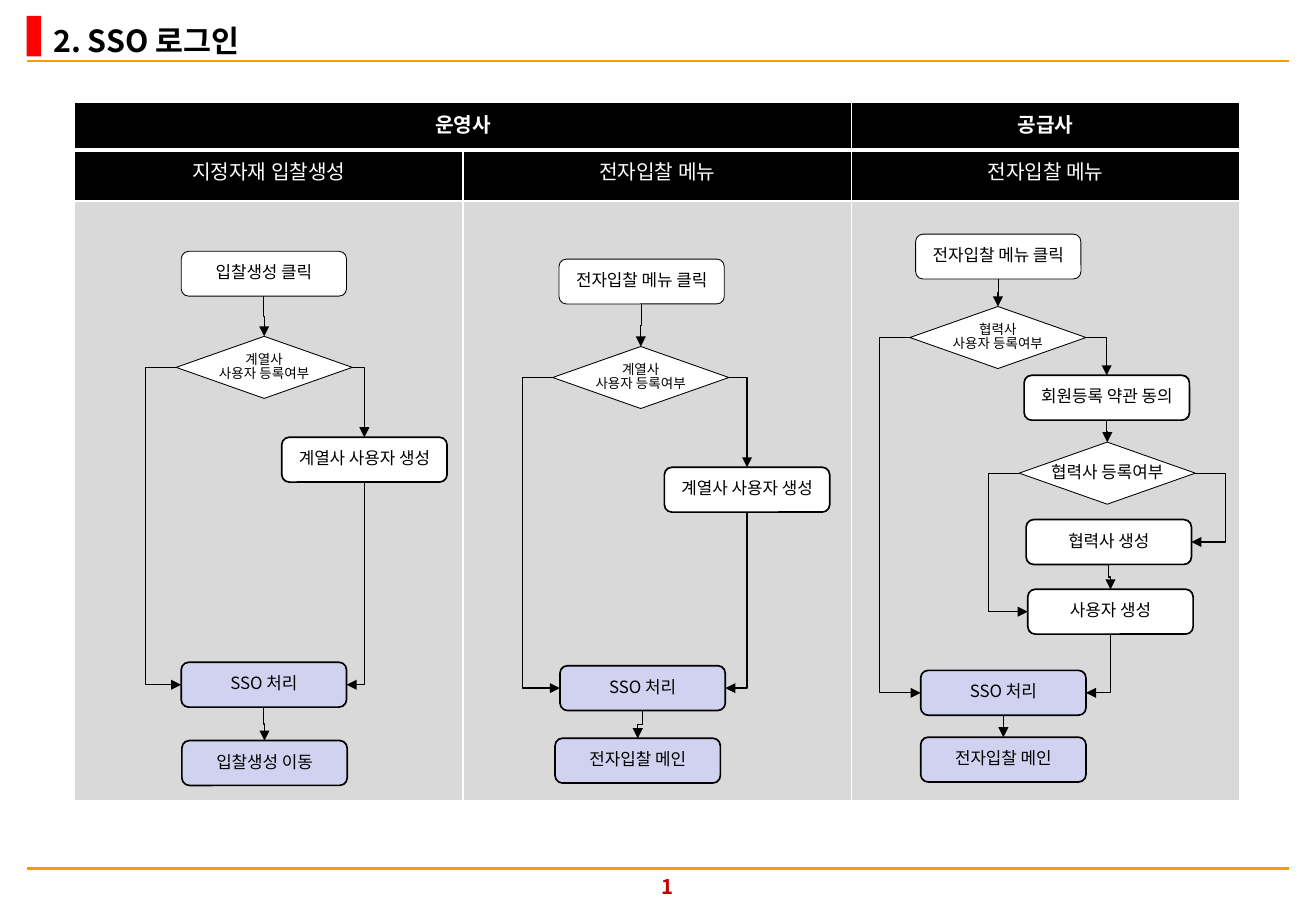
from dataclasses import dataclass
from enum import IntEnum
from typing import Any, NamedTuple

from lxml import etree
from pptx import Presentation
from pptx import util as u
from pptx.dml.color import RGBColor
from pptx.enum import shapes, text
from pptx.oxml import ns


@dataclass(frozen=True)
class Theme:
    font: str = "Noto Sans CJK KR"
    black: RGBColor = RGBColor(0, 0, 0)
    white: RGBColor = RGBColor(255, 255, 255)
    panel: RGBColor = RGBColor(0xD9, 0xD9, 0xD9)
    goal: RGBColor = RGBColor(0xD1, 0xD1, 0xF0)
    rule: RGBColor = RGBColor(0xFF, 0x99, 0x00)
    marker: RGBColor = RGBColor(0xFF, 0, 0)
    page: RGBColor = RGBColor(0xC0, 0, 0)
    title_size: float = 18
    header_size: float = 12
    node_size: float = 10
    small_size: float = 8
    node_spacing: float = 0.85


THEME = Theme()


class Side(IntEnum):
    TOP = 0
    LEFT = 1
    BOTTOM = 2
    RIGHT = 3


class Kind(NamedTuple):
    preset: Any
    width: float
    height: float
    fill: RGBColor
    border: float


ROUNDED = shapes.MSO_SHAPE.ROUNDED_RECTANGLE
CLICK = Kind(ROUNDED, 98, 26.6, THEME.white, 0.5)
STEP = Kind(ROUNDED, 98, 26.6, THEME.white, 1)
GOAL = Kind(ROUNDED, 98, 26.6, THEME.goal, 1)
DECISION = Kind(shapes.MSO_SHAPE.FLOWCHART_DECISION, 104.4, 36.8, THEME.white, 0.5)


class Node(NamedTuple):
    key: str
    kind: Kind
    center: float
    top: float
    lines: tuple[str, ...]


class Link(NamedTuple):
    source: str
    leaves: Side
    target: str
    enters: Side
    reach: float = 0


NODES = [
    Node("bid click", CLICK, 156.4, 149, ("입찰생성 클릭",)),
    Node("bid check", DECISION, 156.6, 199.4, ("계열사", "사용자 등록여부")),
    Node("bid user", STEP, 216, 259.2, ("계열사 사용자 생성",)),
    Node("bid sso", GOAL, 156.4, 392.6, ("SSO 처리",)),
    Node("bid end", GOAL, 156.8, 439, ("입찰생성 이동",)),
    Node("menu click", CLICK, 380.3, 153.6, ("전자입찰 메뉴 클릭",)),
    Node("menu check", DECISION, 379.8, 205.4, ("계열사", "사용자 등록여부")),
    Node("menu user", STEP, 442.8, 277, ("계열사 사용자 생성",)),
    Node("menu sso", GOAL, 380.9, 394.6, ("SSO 처리",)),
    Node("menu end", GOAL, 378, 437.6, ("전자입찰 메인",)),
    Node("supplier click", CLICK, 591.7, 138.8, ("전자입찰 메뉴 클릭",)),
    Node("supplier check", DECISION, 591.5, 181.7, ("협력사", "사용자 등록여부")),
    Node("terms", STEP, 656, 222.5, ("회원등록 약관 동의",)),
    Node("partner check", DECISION, 656.3, 262.1, ("협력사 등록여부",)),
    Node("partner", STEP, 657.2, 308, ("협력사 생성",)),
    Node("supplier user", STEP, 658.2, 349.3, ("사용자 생성",)),
    Node("supplier sso", GOAL, 594.7, 397.4, ("SSO 처리",)),
    Node("supplier end", GOAL, 594.7, 437, ("전자입찰 메인",)),
]

LINKS = [
    link
    for flow, first_step, last_step in (
        ("bid", "bid user", "bid user"),
        ("menu", "menu user", "menu user"),
        ("supplier", "terms", "supplier user"),
    )
    for link in (
        Link(f"{flow} click", Side.BOTTOM, f"{flow} check", Side.TOP),
        Link(f"{flow} check", Side.RIGHT, first_step, Side.TOP),
        Link(f"{flow} check", Side.LEFT, f"{flow} sso", Side.LEFT, -18),
        Link(last_step, Side.BOTTOM, f"{flow} sso", Side.RIGHT),
        Link(f"{flow} sso", Side.BOTTOM, f"{flow} end", Side.TOP),
    )
] + [
    Link("terms", Side.BOTTOM, "partner check", Side.TOP),
    Link("partner check", Side.RIGHT, "partner", Side.RIGHT, 18),
    Link("partner check", Side.LEFT, "supplier user", Side.LEFT, -18),
    Link("partner", Side.BOTTOM, "supplier user", Side.TOP),
]


def apply_format(target: Any, values: dict[str, Any]) -> None:
    for name, value in values.items():
        setattr(target, name, value)


def write(frame: Any, lines: tuple[str, ...], size: float, color: RGBColor, bold: bool = False,
          align: Any = text.PP_ALIGN.CENTER, spacing: float = 1) -> None:
    frame.vertical_anchor = text.MSO_ANCHOR.MIDDLE
    for index, line in enumerate(lines):
        paragraph = frame.add_paragraph() if index else frame.paragraphs[0]
        apply_format(paragraph, {"alignment": align, "line_spacing": spacing, "space_before": u.Pt(0)})
        run = paragraph.add_run()
        run.text = line
        apply_format(run.font, {"name": THEME.font, "size": u.Pt(size), "bold": bold})
        run.font.color.rgb = color
        etree.SubElement(run._r.get_or_add_rPr(), ns.qn("a:ea"), typeface=THEME.font)


def style_connector(connector: Any, color: RGBColor, width: float, arrow: bool = False) -> None:
    connector.line.color.rgb = color
    connector.line.width = u.Pt(width)
    properties = connector._element.spPr
    if arrow:
        etree.SubElement(properties.get_or_add_ln(), ns.qn("a:tailEnd"), type="triangle")
    etree.SubElement(properties, ns.qn("a:effectLst"))


def add_frame(slide: Any) -> None:
    """Add the title, its marker, the two rules and the page number."""
    for y in (36.2, 514.8):
        rule = slide.shapes.add_connector(
            shapes.MSO_CONNECTOR.STRAIGHT, u.Pt(15.8), u.Pt(y), u.Pt(764), u.Pt(y))
        style_connector(rule, THEME.rule, 1.5)
    marker = slide.shapes.add_shape(
        shapes.MSO_SHAPE.RECTANGLE, u.Pt(15.8), u.Pt(9.4), u.Pt(8.6), u.Pt(24))
    marker.shadow.inherit = False
    marker.fill.solid()
    marker.fill.fore_color.rgb = THEME.marker
    marker.line.fill.background()

    title = slide.shapes.title
    apply_format(title, {"left": u.Pt(23), "top": u.Pt(8), "width": u.Pt(405), "height": u.Pt(32.4)})
    apply_format(title.text_frame, {
        "auto_size": text.MSO_AUTO_SIZE.NONE, "word_wrap": True, "margin_left": u.Pt(8.6),
        "margin_top": u.Pt(0), "margin_bottom": u.Pt(0)})
    write(title.text_frame, ("2. SSO 로그인",), THEME.title_size, THEME.black, True, text.PP_ALIGN.LEFT)

    page = slide.shapes.add_textbox(u.Pt(365.5), u.Pt(514.6), u.Pt(60), u.Pt(21.6))
    page.text_frame.word_wrap = True
    write(page.text_frame, ("1",), THEME.header_size, THEME.page, True)


def style_cell(cell: Any, fill: RGBColor, top: float, bottom: float) -> None:
    properties = cell._tc.get_or_add_tcPr()
    for edge, width in (("L", 1), ("R", 1), ("T", top), ("B", bottom)):
        line = etree.SubElement(properties, ns.qn(f"a:ln{edge}"), w=str(u.Pt(width)))
        solid = etree.SubElement(line, ns.qn("a:solidFill"))
        etree.SubElement(solid, ns.qn("a:srgbClr"), val=str(THEME.white))
    cell.fill.solid()
    cell.fill.fore_color.rgb = fill


def add_lanes(slide: Any) -> None:
    heights = (28.2, 30.2, 355.6)
    headers = (("운영사", "", "공급사"), ("지정자재 입찰생성", "전자입찰 메뉴", "전자입찰 메뉴"), ("", "", ""))
    table = slide.shapes.add_table(
        3, 3, u.Pt(44.3), u.Pt(60.8), u.Pt(690.6), u.Pt(sum(heights))).table
    apply_format(table, {"first_row": False, "horz_banding": False})
    for column in table.columns:
        column.width = u.Pt(230.2)
    for index, (height, labels) in enumerate(zip(heights, headers)):
        table.rows[index].height = u.Pt(height)
        for cell, label in zip(table.rows[index].cells, labels):
            style_cell(cell, THEME.panel if index == 2 else THEME.black,
                       3 if index == 1 else 1, 3 if index == 0 else 1)
            if label:
                write(cell.text_frame, (label,), THEME.header_size, THEME.white, index == 0)
    table.cell(0, 0).merge(table.cell(0, 1))


def add_node(slide: Any, node: Node) -> Any:
    kind = node.kind
    shape = slide.shapes.add_shape(kind.preset, u.Pt(node.center - kind.width / 2), u.Pt(node.top),
                                   u.Pt(kind.width), u.Pt(kind.height))
    shape.shadow.inherit = False
    shape.fill.solid()
    shape.fill.fore_color.rgb = kind.fill
    shape.line.color.rgb = THEME.black
    shape.line.width = u.Pt(kind.border)
    shape.text_frame.word_wrap = False
    size = THEME.small_size if len(node.lines) > 1 else THEME.node_size
    write(shape.text_frame, node.lines, size, THEME.black, spacing=THEME.node_spacing)
    return shape


def side_point(shape: Any, side: Side) -> tuple[float, float]:
    across, down = {Side.TOP: (0.5, 0), Side.LEFT: (0, 0.5),
                    Side.BOTTOM: (0.5, 1), Side.RIGHT: (1, 0.5)}[side]
    return shape.left + across * shape.width, shape.top + down * shape.height


def add_link(slide: Any, link: Link, nodes: dict[str, Any]) -> None:
    """Join two nodes by an elbow; one that leaves downward is turned by 90 degrees."""
    source, target = nodes[link.source], nodes[link.target]
    x1, y1 = side_point(source, link.leaves)
    x2, y2 = side_point(target, link.enters)
    connector = slide.shapes.add_connector(
        shapes.MSO_CONNECTOR.ELBOW, int(x1), int(y1), int(x2), int(y2))
    connector.begin_connect(source, link.leaves.value)
    connector.end_connect(target, link.enters.value)
    properties = connector._element.spPr
    geometry = properties.find(ns.qn("a:prstGeom"))
    if link.leaves % 2 != link.enters % 2:
        geometry.set("prst", "bentConnector2")
    if link.reach:
        bend = round(u.Pt(link.reach) / (x2 - x1) * 100000)
        etree.SubElement(geometry.find(ns.qn("a:avLst")), ns.qn("a:gd"), name="adj1", fmla=f"val {bend}")
    if link.leaves == Side.BOTTOM:
        middle_x, middle_y = (x1 + x2) / 2, (y1 + y2) / 2
        half_run, half_rise = (y2 - y1) / 2, (x1 - x2) / 2
        apply_format(connector, {
            "begin_x": int(middle_x - half_run), "begin_y": int(middle_y - half_rise),
            "end_x": int(middle_x + half_run), "end_y": int(middle_y + half_rise)})
        properties.find(ns.qn("a:xfrm")).set("rot", "5400000")
    style_connector(connector, THEME.black, 0.75, arrow=True)


def main() -> None:
    presentation = Presentation()
    apply_format(presentation, {"slide_width": u.Pt(780), "slide_height": u.Pt(540)})
    slide = presentation.slides.add_slide(presentation.slide_layouts[5])
    add_frame(slide)
    add_lanes(slide)
    nodes = {node.key: add_node(slide, node) for node in NODES}
    for link in LINKS:
        add_link(slide, link, nodes)
    presentation.save("out.pptx")


if __name__ == "__main__":
    main()
